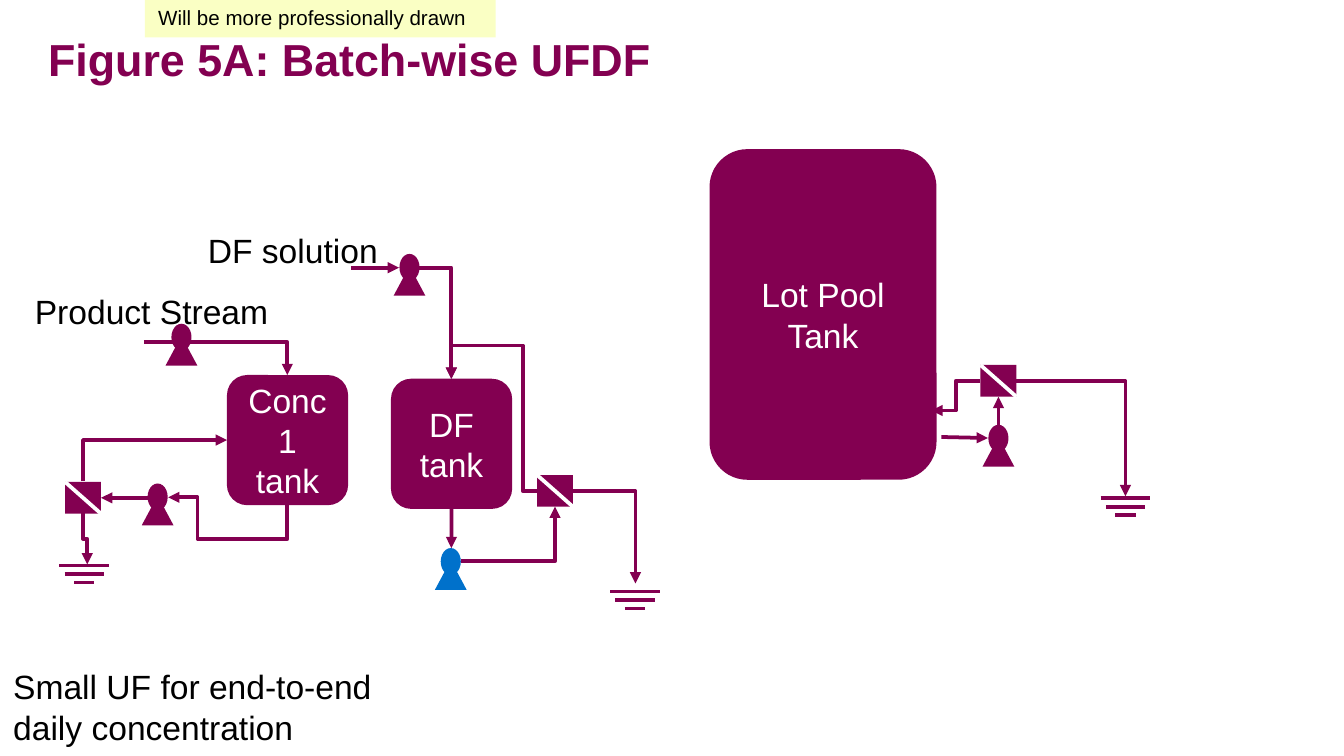
from dataclasses import dataclass

import pptx
import pptx.dml.color
import pptx.enum.shapes
import pptx.enum.text
import pptx.oxml
import pptx.oxml.ns
import pptx.util
from lxml import etree

Cm = pptx.util.Cm
Pt = pptx.util.Pt
qn = pptx.oxml.ns.qn
Shape = pptx.enum.shapes.MSO_SHAPE
Line = pptx.enum.shapes.MSO_CONNECTOR
Anchor = pptx.enum.text.MSO_ANCHOR
Align = pptx.enum.text.PP_ALIGN
Point = tuple[float, float]

COLOURS = {"plum": "830051", "blue": "0071CB", "white": "FFFFFF",
           "black": "000000", "yellow": "FAFFC4"}
BOTTOM, RIGHT = 2, 3


@dataclass
class Label:
    text: str
    left: float
    top: float
    width: float
    height: float
    size: float = 18
    colour: str = "black"
    bold: bool = False
    anchor: Anchor = Anchor.TOP
    align: Align = Align.LEFT
    fill: str = ""
    outline: Shape = Shape.RECTANGLE


@dataclass
class Pump:
    centre: float
    top: float
    colour: str = "plum"


@dataclass
class Pipe:
    preset: str
    start: Point
    end: Point
    rotation: int = 0
    flips: str = ""
    adjusts: tuple[int, ...] = ()


def tank(text: str, left: float, top: float, width: float = 2.29, height: float = 2.46) -> Label:
    return Label(text, left, top, width, height, colour="white", anchor=Anchor.MIDDLE,
                 align=Align.CENTER, fill="plum", outline=Shape.ROUNDED_RECTANGLE)


TITLE = Label("Figure 5A: Batch-wise UFDF", 0.66, 0.41, 24.36, 1.4, 24, "plum", True, Anchor.MIDDLE)
CONC_TANK = tank("Conc 1 tank", 4.29, 7.09)
DF_TANK = tank("DF tank", 7.39, 7.16)
POOL_TANK = tank("Lot Pool Tank", 13.41, 2.82, 4.29, 6.25)
CAPTIONS = [
    Label("Small UF for end-to-end daily concentration", 0, 12.47, 8.48, 1.8),
    Label("DF solution", 3.68, 4.22, 3.86, 1.02),
    Label("Product Stream", 0.41, 5.38, 5.97, 1.02),
    Label("Will be more professionally drawn", 2.74, -0.03, 6.63, 0.74, 11, fill="yellow"),
]
PUMPS = [Pump(2.98, 9.14), Pump(7.74, 4.8), Pump(8.52, 10.36, "blue"),
         Pump(18.87, 8.03), Pump(3.43, 6.12)]
CONC_FILTER, DF_FILTER, POOL_FILTER = (1.57, 9.41), (10.49, 9.28), (18.87, 7.2)
DRAINS = [(1.59, 10.69), (12, 11.18), (21.27, 9.42)]
PIPES = [
    Pipe("bentConnector3", (1.57, 9.7), (1.65, 10.67), 270, "H"),
    Pipe("bentConnector4", (10.14, 9.28), (8.53, 7.16), 180, "", (16200, 129700)),
    Pipe("bentConnector2", (7.92, 5.06), (8.53, 7.16)),
    Pipe("bentConnector3", (18.53, 7.2), (17.6, 7.76), 180, "V"),
    Pipe("bentConnector2", (2.72, 6.47), (5.43, 7.09)),
    Pipe("bentConnector2", (10.83, 9.28), (12.01, 11.03)),
    Pipe("bentConnector2", (19.21, 7.2), (21.27, 9.38)),
    Pipe("bentConnector2", (1.57, 9.1), (4.29, 8.32), 90, "HV"),
    Pipe("bentConnector4", (5.43, 9.55), (3.18, 9.4), 90, "H", (-427000, 75300)),
    Pipe("bentConnector2", (8.71, 10.61), (10.49, 9.58), 0, "V"),
]


def rgb(name: str) -> pptx.dml.color.RGBColor:
    return pptx.dml.color.RGBColor.from_string(COLOURS[name])


def add_solid(shapes, kind: Shape, left: float, top: float, width: float, height: float, colour: str):
    shape = shapes.add_shape(kind, Cm(left), Cm(top), Cm(width), Cm(height))
    shape.shadow.inherit = False
    shape.fill.solid()
    shape.fill.fore_color.rgb = rgb(colour)
    shape.line.fill.background()
    return shape


def add_line(shapes, start: Point, end: Point, colour: str = "plum",
             arrow: bool = False, kind: Line = Line.STRAIGHT):
    line = shapes.add_connector(kind, *(Cm(value) for value in start + end))
    line.line.color.rgb = rgb(colour)
    line.line.width = Pt(2)
    if arrow:
        etree.SubElement(line.line._get_or_add_ln(), qn("a:tailEnd"), type="triangle")
    etree.SubElement(line._element.spPr, qn("a:effectLst"))
    return line


def add_label(shapes, label: Label):
    place = (label.left, label.top, label.width, label.height)
    if label.fill:
        box = add_solid(shapes, label.outline, *place, label.fill)
    else:
        box = shapes.add_textbox(*(Cm(value) for value in place))
    frame = box.text_frame
    frame.text = label.text
    frame.word_wrap = True
    frame.vertical_anchor = label.anchor
    para = frame.paragraphs[0]
    para.alignment = label.align
    font = para.runs[0].font
    font.name = "Arial"
    font.size = Pt(label.size)
    font.bold = label.bold
    font.color.rgb = rgb(label.colour)
    return box


def add_pump(shapes, pump: Pump) -> None:
    group = shapes.add_group_shape().shapes
    add_solid(group, Shape.OVAL, pump.centre - 0.19, pump.top, 0.38, 0.51, pump.colour)
    add_solid(group, Shape.ISOSCELES_TRIANGLE, pump.centre - 0.3, pump.top + 0.23, 0.6, 0.56, pump.colour)


def add_filter(shapes, centre: Point):
    x, y = centre
    group = shapes.add_group_shape().shapes
    body = add_solid(group, Shape.RECTANGLE, x - 0.34, y - 0.3, 0.68, 0.6, "plum")
    add_line(group, (x - 0.34, y - 0.3), (x + 0.34, y + 0.3), "white")
    return body


def add_drain(shapes, centre: Point) -> None:
    x, y = centre
    group = shapes.add_group_shape().shapes
    for row, width in enumerate((0.94, 0.74, 0.38)):
        level = y + 0.16 * row
        add_line(group, (x - width / 2, level), (x + width / 2, level))


def add_pipe(shapes, pipe: Pipe) -> None:
    (x1, y1), (x2, y2) = pipe.start, pipe.end
    half_width, half_height = abs(x2 - x1) / 2, abs(y2 - y1) / 2
    if pipe.rotation % 180:
        half_width, half_height = half_height, half_width
    if "H" in pipe.flips:
        half_width = -half_width
    if "V" in pipe.flips:
        half_height = -half_height
    x, y = (x1 + x2) / 2, (y1 + y2) / 2
    line = add_line(shapes, (x - half_width, y - half_height),
                    (x + half_width, y + half_height), arrow=True, kind=Line.ELBOW)
    properties = line._element.spPr
    properties.find(qn("a:xfrm")).set("rot", str(pipe.rotation * 60000))
    geometry = properties.find(qn("a:prstGeom"))
    geometry.set("prst", pipe.preset)
    for number, value in enumerate(pipe.adjusts, 1):
        etree.SubElement(geometry.find(qn("a:avLst")), qn("a:gd"),
                         name=f"adj{number}", fmla=f"val {value}")


def main() -> None:
    deck = pptx.Presentation()
    deck.slide_width, deck.slide_height = Cm(25.4), Cm(14.29)
    shapes = deck.slides.add_slide(deck.slide_layouts[6]).shapes
    add_label(shapes, TITLE)
    _, df_tank, _ = [add_label(shapes, label) for label in (CONC_TANK, DF_TANK, POOL_TANK)]
    for pump in PUMPS:
        add_pump(shapes, pump)
    conc_filter, _, pool_filter = [
        add_filter(shapes, centre) for centre in (CONC_FILTER, DF_FILTER, POOL_FILTER)]
    for drain in DRAINS:
        add_drain(shapes, drain)
    for pipe in PIPES:
        add_pipe(shapes, pipe)
    add_line(shapes, (6.63, 5.06), (7.54, 5.06), arrow=True)
    add_line(shapes, (17.79, 8.26), (18.67, 8.28), arrow=True)
    add_line(shapes, (18.87, 8.03), (18.87, 7.5), arrow=True).end_connect(pool_filter, BOTTOM)
    add_line(shapes, (2.79, 9.41), (1.91, 9.41), arrow=True).end_connect(conc_filter, RIGHT)
    add_line(shapes, (8.53, 9.62), (8.53, 10.36), arrow=True).begin_connect(df_tank, BOTTOM)
    for caption in CAPTIONS:
        add_label(shapes, caption)
    deck.save("out.pptx")


if __name__ == "__main__":
    main()
